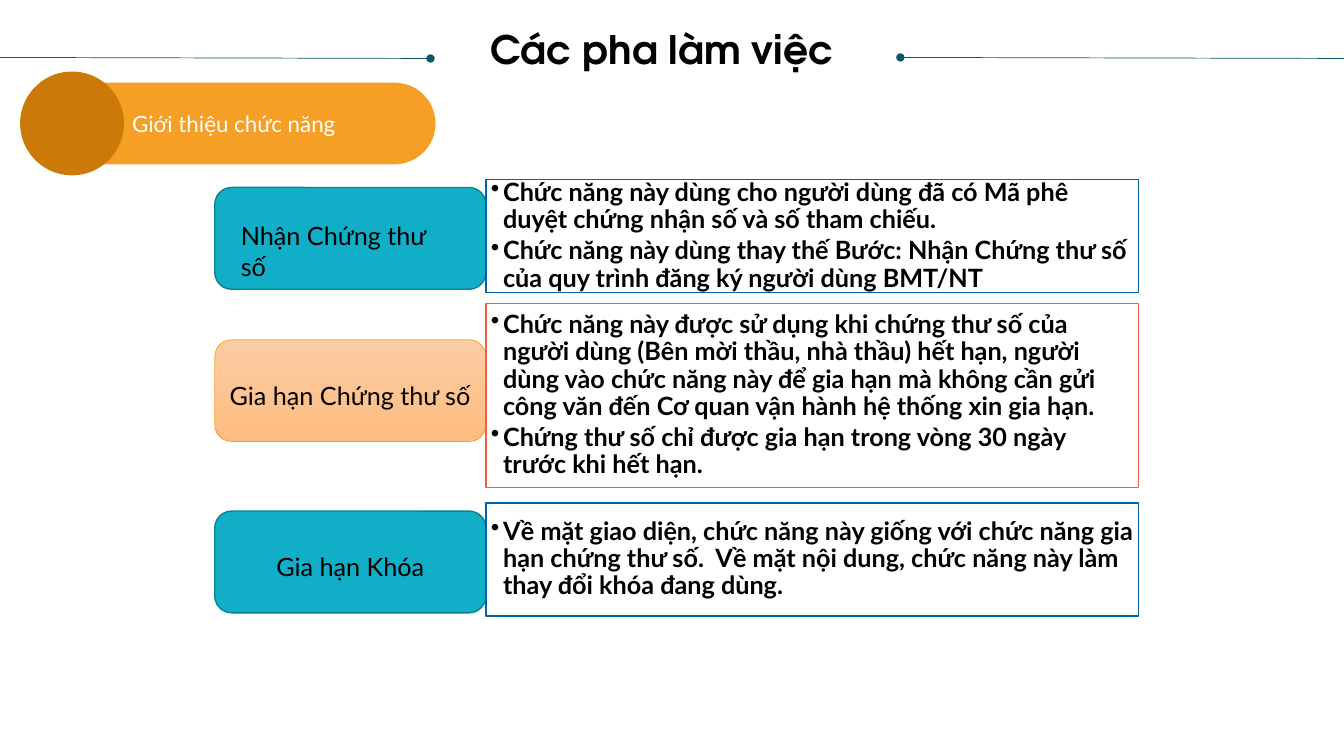
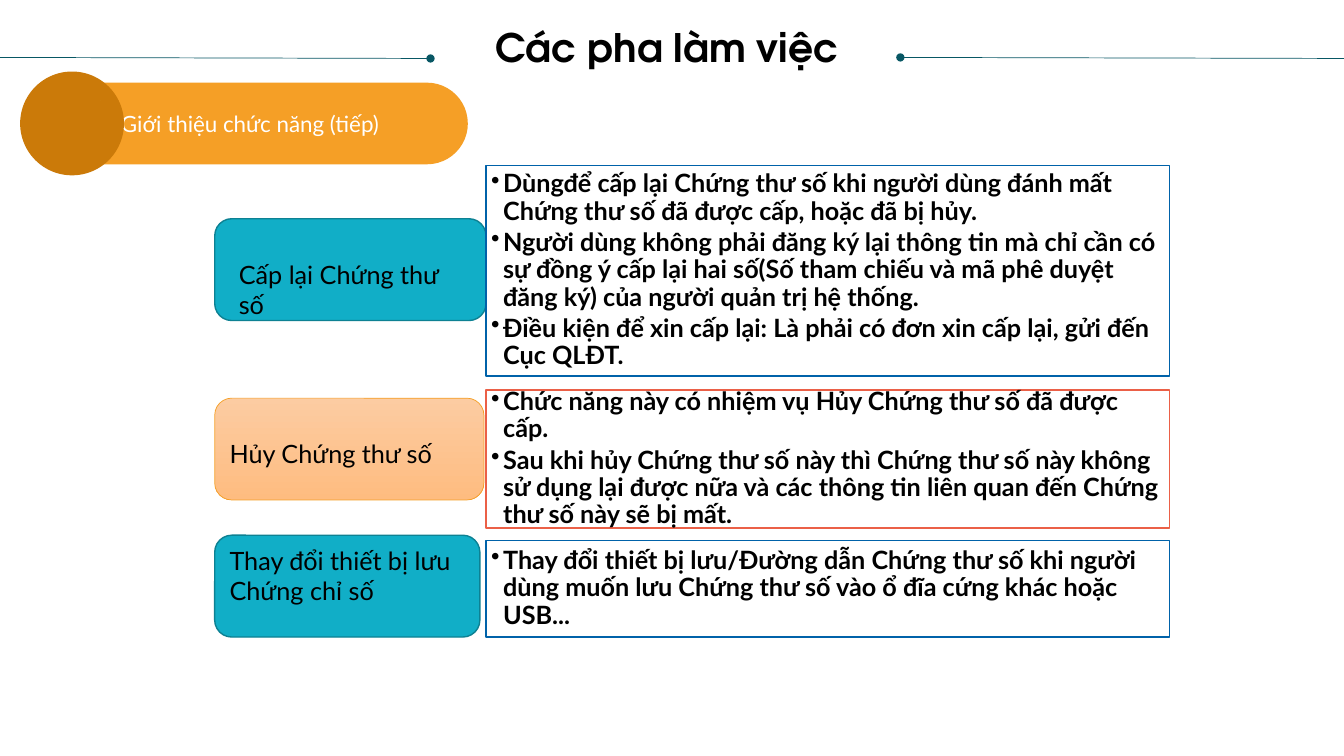
from dataclasses import dataclass, field

from lxml import etree
from pptx import Presentation
from pptx.dml.color import RGBColor
from pptx.enum import shapes, text
from pptx.oxml import ns
from pptx.util import Inches, Pt

WHITE = RGBColor(0xFF, 0xFF, 0xFF)
BLACK = RGBColor(0x00, 0x00, 0x00)
RULE = RGBColor(0x08, 0x57, 0x64)
BAND = RGBColor(0xF5, 0x9F, 0x26)
BADGE = RGBColor(0xCB, 0x7A, 0x09)
TEAL = RGBColor(0x11, 0xAE, 0xC7)
TEAL_EDGE = RGBColor(0x0D, 0x81, 0x93)
PEACH_TOP = RGBColor(0xFC, 0xCC, 0xA2)
PEACH_BOTTOM = RGBColor(0xFE, 0xBC, 0x80)
BLUE_EDGE = RGBColor(0x00, 0x62, 0xA9)
RED_EDGE = RGBColor(0xEB, 0x60, 0x47)

TITLE_FONT = "TeX Gyre Adventor"
BODY_FONT = "Lato"
TITLE = "Các pha làm việc"

SLIDE_WIDTH = 13.33
LABEL_LEFT = 2.13
LABEL_HEIGHT = 1.01
DETAIL_LEFT = 4.82
BULLET_INDENT = 0.12

ICON_LEFT, ICON_RIGHT = 0.51, 0.89
ICON_BASE, ICON_BOTTOM = 1.32, 1.34
BAR_TOPS = (1.24, 1.15, 1.19, 1.07)
BAR_WIDTH, BAR_PITCH = 0.06, 0.09

CENTER = text.PP_ALIGN.CENTER
LEFT = text.PP_ALIGN.LEFT
TOP = text.MSO_ANCHOR.TOP
MIDDLE = text.MSO_ANCHOR.MIDDLE
Preset = shapes.MSO_SHAPE


@dataclass
class Function:
    """One labelled function and the box that details it."""
    label: str
    label_top: float
    detail_top: float
    detail_height: float
    points: list
    label_width: float = 2.69
    peach: bool = False
    label_format: dict = field(default_factory=dict)


FIRST_FUNCTIONS = [
    Function("Nhận Chứng thư số", 1.86, 1.78, 1.12, [
        "Chức năng này dùng cho người dùng đã có Mã phê duyệt chứng nhận số và số tham chiếu.",
        "Chức năng này dùng thay thế Bước: Nhận Chứng thư số của quy trình đăng ký "
        "người dùng BMT/NT",
    ], label_format={"margins": (0.21, 0.28, 0.3, 0.05)}),
    Function("Gia hạn Chứng thư số", 3.37, 3.01, 1.83, [
        "Chức năng này được sử dụng khi chứng thư số của người dùng (Bên mời thầu, nhà thầu) "
        "hết hạn, người dùng vào chức năng này để gia hạn mà không cần gửi công văn đến "
        "Cơ quan vận hành hệ thống xin gia hạn.",
        "Chứng thư số chỉ được gia hạn trong vòng 30 ngày trước khi hết hạn.",
    ], peach=True, label_format={"line_spacing": 2.0}),
    Function("Gia hạn Khóa", 5.07, 4.99, 1.12, [
        "Về mặt giao diện, chức năng này giống với chức năng gia hạn chứng thư số.  "
        "Về mặt nội dung, chức năng này làm thay đổi khóa đang dùng.",
    ], label_format={"line_spacing": 2.0, "align": CENTER}),
]

MORE_FUNCTIONS = [
    Function("Cấp lại Chứng thư số", 2.17, 1.64, 2.09, [
        "Dùngđể cấp lại Chứng thư số khi người dùng đánh mất Chứng thư số đã được cấp, "
        "hoặc đã bị hủy.",
        "Người dùng không phải đăng ký lại thông tin mà chỉ cần có sự đồng ý cấp lại hai số"
        "(Số tham chiếu và mã phê duyệt đăng ký) của người quản trị hệ thống.",
        "Điều kiện để xin cấp lại: Là phải có đơn xin cấp lại, gửi đến Cục QLĐT.",
    ], label_format={"margins": (0.19, 0.35, 0.18, 0.05)}),
    Function("Hủy Chứng thư số", 3.95, 3.87, 1.37, [
        "Chức năng này có nhiệm vụ Hủy Chứng thư số đã được cấp.",
        "Sau khi hủy Chứng thư số này thì Chứng thư số này không sử dụng lại được nữa "
        "và các thông tin liên quan đến Chứng thư số này sẽ bị mất.",
    ], label_width=2.67, peach=True, label_format={"line_spacing": 2.0}),
    Function("Thay đổi thiết bị lưu Chứng chỉ số", 5.31, 5.36, 0.96, [
        "Thay đổi thiết bị lưu/Đường dẫn Chứng thư số khi người dùng muốn lưu "
        "Chứng thư số vào ổ đĩa cứng khác hoặc USB...",
    ], label_width=2.63),
]


def write_text(shape, lines, size=18, font=BODY_FONT, color=BLACK, bold=False,
               align=LEFT, anchor=TOP, line_spacing=1.0, space_after=0,
               margins=(0.1, 0.05, 0.1, 0.05), bullet=False):
    """Fill a shape with one paragraph per line; margins run left, top, right, bottom."""
    frame = shape.text_frame
    frame.word_wrap = True
    frame.vertical_anchor = anchor
    (frame.margin_left, frame.margin_top,
     frame.margin_right, frame.margin_bottom) = map(Inches, margins)
    for index, line in enumerate(lines):
        paragraph = frame.add_paragraph() if index else frame.paragraphs[0]
        paragraph.text = line
        if bullet:
            add_bullet(paragraph)
        paragraph.alignment = align
        paragraph.line_spacing = line_spacing
        paragraph.space_after = Pt(space_after)
        for run in paragraph.runs:
            run.font.size = Pt(size)
            run.font.name = font
            run.font.bold = bold
            run.font.color.rgb = color


def add_bullet(paragraph):
    properties = paragraph._p.get_or_add_pPr()
    properties.set("marL", str(Inches(BULLET_INDENT)))
    properties.set("indent", str(-Inches(BULLET_INDENT)))
    etree.SubElement(properties, ns.qn("a:buChar")).set("char", "•")


def paint(shape, fill, edge=None, edge_width=1):
    """Give a solid fill, or a downward gradient if fill is a pair of colours."""
    shape.shadow.inherit = False
    if isinstance(fill, list):
        shape.fill.gradient()
        shape.fill.gradient_angle = 270
        for stop, color in zip(shape.fill.gradient_stops, fill):
            stop.color.rgb = color
    else:
        shape.fill.solid()
        shape.fill.fore_color.rgb = fill
    if edge is None:
        shape.line.fill.background()
    else:
        shape.line.color.rgb = edge
        shape.line.width = Pt(edge_width)


def add_box(slide, preset, left, top, width, height, fill, **edge):
    shape = slide.shapes.add_shape(preset, *map(Inches, (left, top, width, height)))
    paint(shape, fill, **edge)
    return shape


def add_title_rule(slide, start, end, dotted_end):
    """Draw a rule beside the title; dotted_end is headEnd or tailEnd."""
    rule = slide.shapes.add_connector(
        shapes.MSO_CONNECTOR.STRAIGHT,
        Inches(start), Inches(0.57), Inches(end), Inches(0.58))
    rule.line.color.rgb = RULE
    rule.line.width = Pt(0.5)
    etree.SubElement(rule.line._get_or_add_ln(), ns.qn(f"a:{dotted_end}")).set("type", "oval")
    etree.SubElement(rule._element.spPr, ns.qn("a:effectLst"))


def add_title(slide, left, top):
    add_title_rule(slide, 0, 4.27, "tailEnd")
    add_title_rule(slide, 8.93, SLIDE_WIDTH, "headEnd")
    box = slide.shapes.add_textbox(Inches(left), Inches(top), Inches(12.83), Inches(0.85))
    write_text(box, [TITLE], size=28, font=TITLE_FONT, bold=True, align=CENTER,
               line_spacing=0.9, margins=(0, 0, 0, 0))


def add_chart_icon(slide):
    points = [(ICON_LEFT, ICON_BASE)]
    for index, top in enumerate(BAR_TOPS):
        left = ICON_LEFT + 0.02 + index * BAR_PITCH
        right = left + BAR_WIDTH
        points += [(left, ICON_BASE), (left, top), (right, top), (right, ICON_BASE)]
    points += [(ICON_RIGHT, ICON_BASE), (ICON_RIGHT, ICON_BOTTOM), (ICON_LEFT, ICON_BOTTOM)]
    builder = slide.shapes.build_freeform(*points[0], scale=float(Inches(1)))
    builder.add_line_segments(points[1:], close=True)
    paint(builder.convert_to_shape(), WHITE)


def add_heading(slide, heading, width):
    band = add_box(slide, Preset.ROUNDED_RECTANGLE, 0.32, 0.82, width, 0.81, BAND)
    band.adjustments[0] = 0.5
    write_text(band, [heading], size=16, color=WHITE, align=CENTER, anchor=MIDDLE)
    add_box(slide, Preset.OVAL, 0.2, 0.71, 1.03, 1.03, BADGE)
    add_chart_icon(slide)


def add_function(slide, function, detail_width):
    if function.peach:
        look = {"fill": [PEACH_TOP, PEACH_BOTTOM], "edge": BAND, "edge_width": 0.5}
    else:
        look = {"fill": TEAL, "edge": TEAL_EDGE}
    label = add_box(slide, Preset.ROUNDED_RECTANGLE, LABEL_LEFT, function.label_top,
                    function.label_width, LABEL_HEIGHT, **look)
    write_text(label, [function.label], **function.label_format)
    detail = add_box(slide, Preset.RECTANGLE, DETAIL_LEFT, function.detail_top,
                     detail_width, function.detail_height, WHITE,
                     edge=RED_EDGE if function.peach else BLUE_EDGE)
    write_text(detail, function.points, bold=True, anchor=MIDDLE, line_spacing=0.9,
               space_after=3, margins=(0.05, 0.03, 0.05, 0.03), bullet=True)


def add_functions_slide(presentation, title_at, heading, heading_width,
                        functions, detail_width):
    slide = presentation.slides.add_slide(presentation.slide_layouts[6])
    add_title(slide, *title_at)
    add_heading(slide, heading, heading_width)
    for function in functions:
        add_function(slide, function, detail_width)


def main():
    presentation = Presentation()
    presentation.slide_width = Inches(SLIDE_WIDTH)
    presentation.slide_height = Inches(7.5)
    add_functions_slide(presentation, (0.15, 0.3), "Giới thiệu chức năng", 4,
                        FIRST_FUNCTIONS, 6.47)
    add_functions_slide(presentation, (0.2, 0.28), "Giới thiệu chức năng (tiếp)", 4.32,
                        MORE_FUNCTIONS, 6.78)
    presentation.save("out.pptx")


if __name__ == "__main__":
    main()
